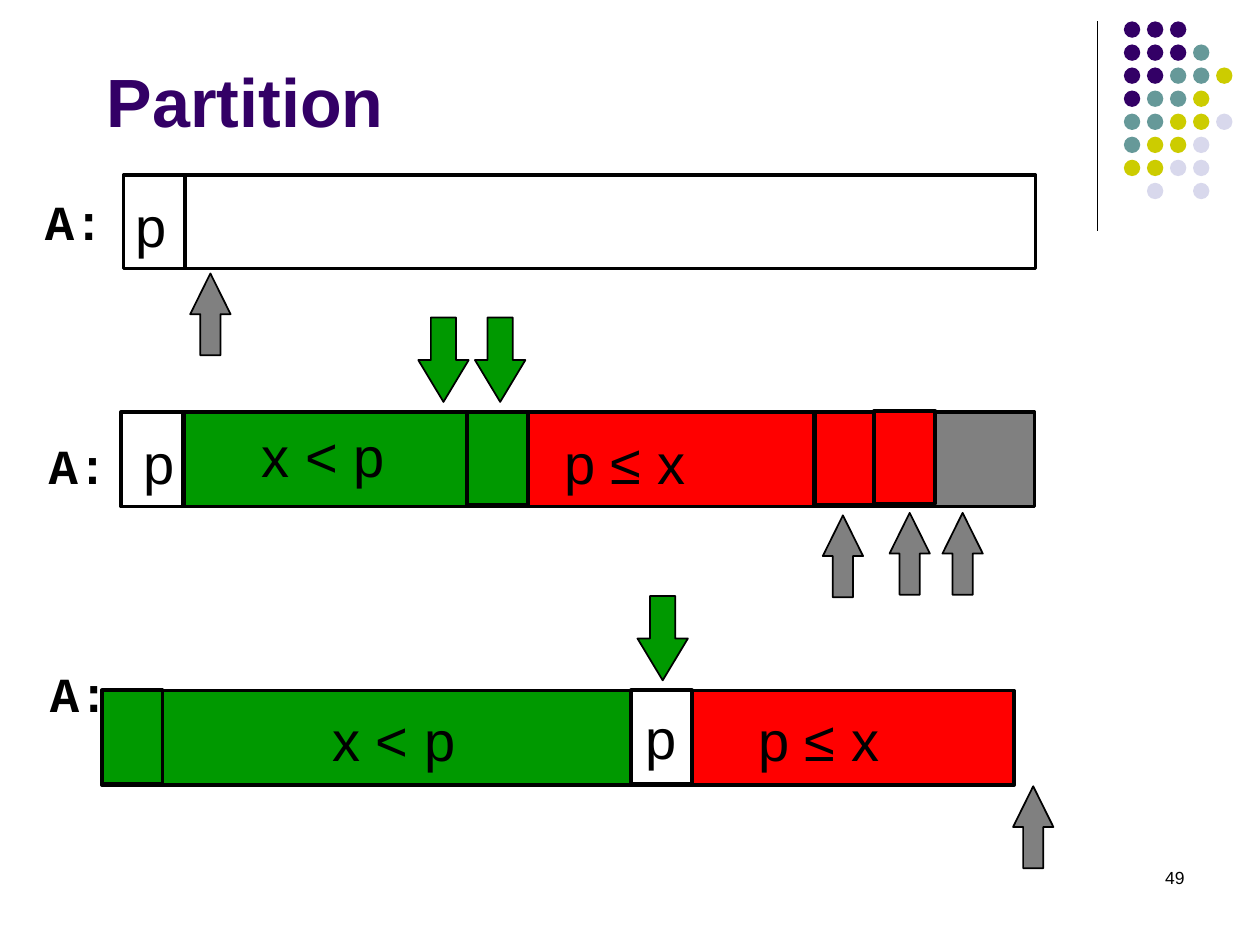
from lxml.etree import SubElement
from pptx import Presentation
from pptx.dml.color import RGBColor
from pptx.enum.shapes import MSO_CONNECTOR as Connector, MSO_SHAPE as Shape
from pptx.enum.text import MSO_ANCHOR as Anchor, PP_ALIGN as Align
from pptx.oxml.ns import qn
from pptx.util import Inches, Pt

COLORS = {
    "black": "000000", "white": "FFFFFF", "purple": "330066", "teal": "669999",
    "olive": "CCCC00", "lavender": "D8D8EC", "green": "009900", "red": "FF0000",
    "gray": "808080",
}

deck = Presentation()
deck.slide_width, deck.slide_height = Inches(10), Inches(7.5)
page = deck.slides.add_slide(deck.slide_layouts[6])
COLUMN, ROW = deck.slide_width / 100, deck.slide_height / 75


def add_block(kind, left, top, width, height, fill=None, line=None, weight=1):
    block = page.shapes.add_shape(
        kind, round(left * COLUMN), round(top * ROW), round(width * COLUMN), round(height * ROW))
    block.shadow.inherit = False
    if fill:
        block.fill.solid()
        block.fill.fore_color.rgb = RGBColor.from_string(COLORS[fill])
    else:
        block.fill.background()
    if line:
        block.line.color.rgb = RGBColor.from_string(COLORS[line])
        block.line.width = Pt(weight)
    else:
        block.line.fill.background()
    return block


def add_text(text, left, top, width, height, size, font="Arial", bold=False,
             color="black", align=Align.LEFT, anchor=Anchor.TOP):
    box = page.shapes.add_textbox(
        round(left * COLUMN), round(top * ROW), round(width * COLUMN), round(height * ROW))
    frame = box.text_frame
    frame.word_wrap = True
    frame.vertical_anchor = anchor
    para = frame.paragraphs[0]
    para.text = text
    para.alignment = align
    para.font.size = Pt(size)
    para.font.name = font
    para.font.bold = bold
    para.font.color.rgb = RGBColor.from_string(COLORS[color])


dot_colors = {"P": "purple", "T": "teal", "O": "olive", "L": "lavender"}
dot_rows = ["PPP", "PPPT", "PPTTO", "PTTO", "TTOOL", "TOOL", "OOLL", " L L"]
for row, letters in enumerate(dot_rows):
    for column, letter in enumerate(letters):
        if letter in dot_colors:
            add_block(Shape.OVAL, 89.2 + 1.83 * column, 1.7 + 1.83 * row, 1.3, 1.3,
                      dot_colors[letter])

add_text("Partition", 7.5, 1.7, 85, 12.5, 39, bold=True, color="purple", anchor=Anchor.MIDDLE)
add_text("49", 71.7, 68.3, 23.3, 5, 10, align=Align.RIGHT)

BAR, BAR_HEIGHT, CELL, CELL_HEIGHT = 72.4, 7.5, 4.8, 7.4
start_top, middle_top, end_top = 13.9, 32.7, 54.8

cells = [
    (9.8, start_top, BAR, CELL_HEIGHT, None, "black", 2),
    (37.2, middle_top, 27.5, BAR_HEIGHT, "red", "black", 1),
    (9.6, middle_top, BAR, BAR_HEIGHT, None, "black", 2),
    (64.6, middle_top, 17.5, BAR_HEIGHT, "gray", "black", 2),
    (14.6, middle_top, 22.5, BAR_HEIGHT, "green", "black", 2),
    (64.7, middle_top, CELL, CELL_HEIGHT, "red", "black", 2.25),
    (69.4, middle_top - 0.1, CELL, CELL_HEIGHT, "red", "black", 2.25),
    (37.1, middle_top, CELL, CELL_HEIGHT, "green", "black", 2.25),
    (54.1, end_top, 26.4, BAR_HEIGHT, "red", "white", 1),
    (12.9, end_top, 42, BAR_HEIGHT, "green", "black", 2),
    (8.1, end_top, BAR, BAR_HEIGHT, None, "black", 2),
    (8.1, end_top, CELL, CELL_HEIGHT, "green", "black", 2.25),
]
for cell in cells:
    add_block(Shape.RECTANGLE, *cell)

pivot = add_block(Shape.RECTANGLE, 50.1, end_top, CELL, CELL_HEIGHT, "white", "black", 2.25)
pivot.text_frame.word_wrap = False
pivot.text_frame.vertical_anchor = Anchor.MIDDLE
para = pivot.text_frame.paragraphs[0]
para.text = "p"
para.alignment = Align.CENTER
para.font.size = Pt(32)
para.font.name = "Arial"
para.font.color.rgb = RGBColor.from_string(COLORS["black"])

for left, top, bottom, weight in [
    (87.1, 1.7, 18.3, 0.75),
    (14.7, start_top - 0.1, start_top + CELL_HEIGHT, 2),
    (14.5, middle_top - 0.1, middle_top + BAR_HEIGHT, 2),
]:
    rule = page.shapes.add_connector(
        Connector.STRAIGHT, round(left * COLUMN), round(top * ROW),
        round(left * COLUMN), round(bottom * ROW))
    rule.line.color.rgb = RGBColor.from_string(COLORS["black"])
    rule.line.width = Pt(weight)
    SubElement(rule._element.spPr, qn("a:effectLst"))

for text, left, top, width in [
    ("p", 9.8, 14.7, 5), ("p", 10.4, 33.5, 5),
    ("x < p", 19.8, 33, 13.3), ("p ≤ x", 43.8, 33.5, 15.9),
    ("x < p", 25.4, 55.5, 13.3), ("p ≤ x", 59.2, 55.5, 15.9),
]:
    add_text(text, left, top, width, 6.3, 32)

for left, top in [(2.3, 14.7), (2.6, 34.1), (2.7, 52.2)]:
    add_text("A:", left, top, 6.9, 5.7, 28, "Courier New", True, align=Align.RIGHT)

up_arrows = [(15.1, 21.7), (65.3, 40.9), (70.6, 40.7), (74.8, 40.7), (80.4, 62.4)]
down_arrows = [(33.2, 25.2), (37.7, 25.2), (50.6, 47.3)]
for kind, places, width, height, head, fill in [
    (Shape.UP_ARROW, up_arrows, 3.2, 6.5, 1.01, "gray"),
    (Shape.DOWN_ARROW, down_arrows, 4, 6.7, 0.83, "green"),
]:
    for left, top in places:
        arrow = add_block(kind, left, top, width, height, fill, "black")
        arrow.adjustments[0] = 0.5
        arrow.adjustments[1] = head

deck.save("out.pptx")
